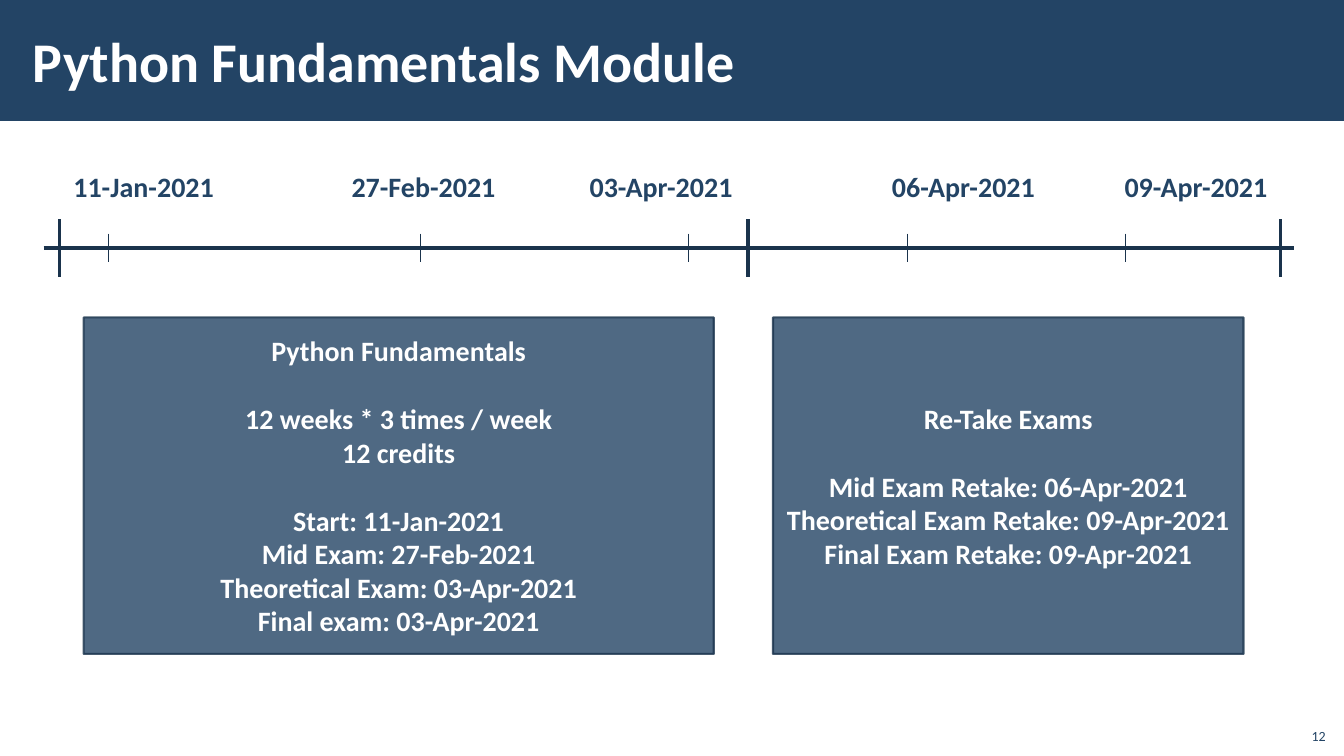
from lxml import etree
from pptx import Presentation
from pptx import util as u
from pptx.dml.color import RGBColor
from pptx.enum import shapes, text
from pptx.oxml.ns import qn

COLORS = {"navy": "234465", "line": "1A334C", "white": "FFFFFF"}
HEADING = {"size": u.Pt(40), "bold": True, "name": "Calibri"}
BODY = {"size": u.Pt(20), "bold": True, "name": "Calibri"}
SMALL = {"size": u.Pt(10), "bold": False, "name": "Calibri"}
BLANK_LINE = u.Pt(24.4)

DATES = [
    ("11-Jan-2021", 1.6, 2.74),
    ("27-Feb-2021", 8.61, 10.59),
    ("03-Apr-2021", 14.61, 17.35),
    ("06-Apr-2021", 22.23, 22.86),
    ("09-Apr-2021", 28.09, 28.37),
]
PERIOD_ENDS = [1.5, 18.85, 32.28]
COURSE = [
    ["Python Fundamentals"],
    ["12 weeks * 3 times / week", "12 credits"],
    ["Start: 11-Jan-2021", "Mid Exam: 27-Feb-2021",
     "Theoretical Exam: 03-Apr-2021", "Final exam: 03-Apr-2021"],
]
RETAKES = [
    ["Re-Take Exams"],
    ["Mid Exam Retake: 06-Apr-2021", "Theoretical Exam Retake: 09-Apr-2021",
     "Final Exam Retake: 09-Apr-2021"],
]


def rgb(key):
    """Return the named colour."""
    return RGBColor.from_string(COLORS[key])


def cm(*values):
    """Turn numbers into centimetre lengths."""
    return [u.Cm(v) for v in values]


def write(p, words, font, color, align=text.PP_ALIGN.LEFT):
    """Write one formatted run into a paragraph."""
    p.alignment = align
    r = p.add_run()
    r.text = words
    for key, value in font.items():
        setattr(r.font, key, value)
    r.font.color.rgb = rgb(color)


def add_label(s, box, words, font, color, **frame):
    """Add a single-line text box."""
    tf = s.shapes.add_textbox(*cm(*box)).text_frame
    for key, value in frame.items():
        setattr(tf, key, value)
    align = text.PP_ALIGN.RIGHT if font is SMALL else text.PP_ALIGN.LEFT
    write(tf.paragraphs[0], words, font, color, align)


def add_rect(s, box, alpha=None):
    """Add a navy rectangle, outlined and translucent if alpha is given."""
    sp = s.shapes.add_shape(shapes.MSO_SHAPE.RECTANGLE, *cm(*box))
    sp.shadow.inherit = False
    sp.fill.solid()
    sp.fill.fore_color.rgb = rgb("navy")
    if alpha is None:
        sp.line.fill.background()
        return sp
    sp.line.color.rgb = rgb("line")
    sp.line.width = u.Pt(1.5)
    for clr in sp._element.spPr.iter(qn("a:srgbClr")):
        etree.SubElement(clr, qn("a:alpha")).set("val", str(alpha * 1000))
    return sp


def add_line(s, x1, y1, x2, y2, width):
    """Draw a straight timeline stroke."""
    line = s.shapes.add_connector(
        shapes.MSO_CONNECTOR.STRAIGHT, *cm(x1, y1, x2, y2))
    line.line.color.rgb = rgb("line")
    line.line.width = u.Pt(width)
    etree.SubElement(line._element.spPr, qn("a:effectLst"))


def add_header(s, x, y, w, h, title):
    """Add the title band."""
    add_rect(s, (x, y, w, h))
    add_label(s, (x + 0.53, y + 0.28, 27, h - 0.58), title, HEADING, "white",
              word_wrap=True, vertical_anchor=text.MSO_ANCHOR.MIDDLE,
              margin_left=u.Cm(0.3))


def add_timeline(s, x, y, w, h):
    """Add the axis with its period ends, ticks and dates."""
    axis = y + h - 0.72
    add_line(s, x, axis, x + w, axis, 2.25)
    for end in PERIOD_ENDS:
        add_line(s, end, axis - 0.72, end, axis + 0.72, 2.25)
    for date, left, tick in DATES:
        add_line(s, tick, axis - 0.36, tick, axis + 0.36, 0.5)
        add_label(s, (left, y, 4.2, 1.12), date, BODY, "navy",
                  word_wrap=False)


def add_panel(s, x, y, w, h, groups):
    """Add a panel of centred line groups separated by spacing."""
    tf = add_rect(s, (x, y, w, h), alpha=80).text_frame
    tf.word_wrap = True
    tf.vertical_anchor = text.MSO_ANCHOR.MIDDLE
    p = tf.paragraphs[0]
    for g, lines in enumerate(groups):
        for i, words in enumerate(lines):
            if g or i:
                p = tf.add_paragraph()
            if g and i == 0:
                p.space_before = BLANK_LINE
            write(p, words, BODY, "white", text.PP_ALIGN.CENTER)


def add_page_number(s, x, y, w, h, number):
    """Add the page number."""
    add_label(s, (x, y, w, h), number, SMALL, "navy", word_wrap=True,
              vertical_anchor=text.MSO_ANCHOR.BOTTOM)


def main():
    """Build the slide and save it."""
    prs = Presentation()
    prs.slide_width, prs.slide_height = cm(33.87, 19.05)
    s = prs.slides.add_slide(prs.slide_layouts[6])
    add_header(s, 0, 0, 33.87, 3.05, "Python Fundamentals Module")
    add_timeline(s, 1.1, 4.15, 31.5, 2.82)
    add_panel(s, 2.11, 8, 15.88, 8.48, COURSE)
    add_panel(s, 19.48, 8, 11.86, 8.48, RETAKES)
    add_page_number(s, 32.64, 18.08, 1.02, 0.81, "12")
    prs.save("out.pptx")


if __name__ == "__main__":
    main()
